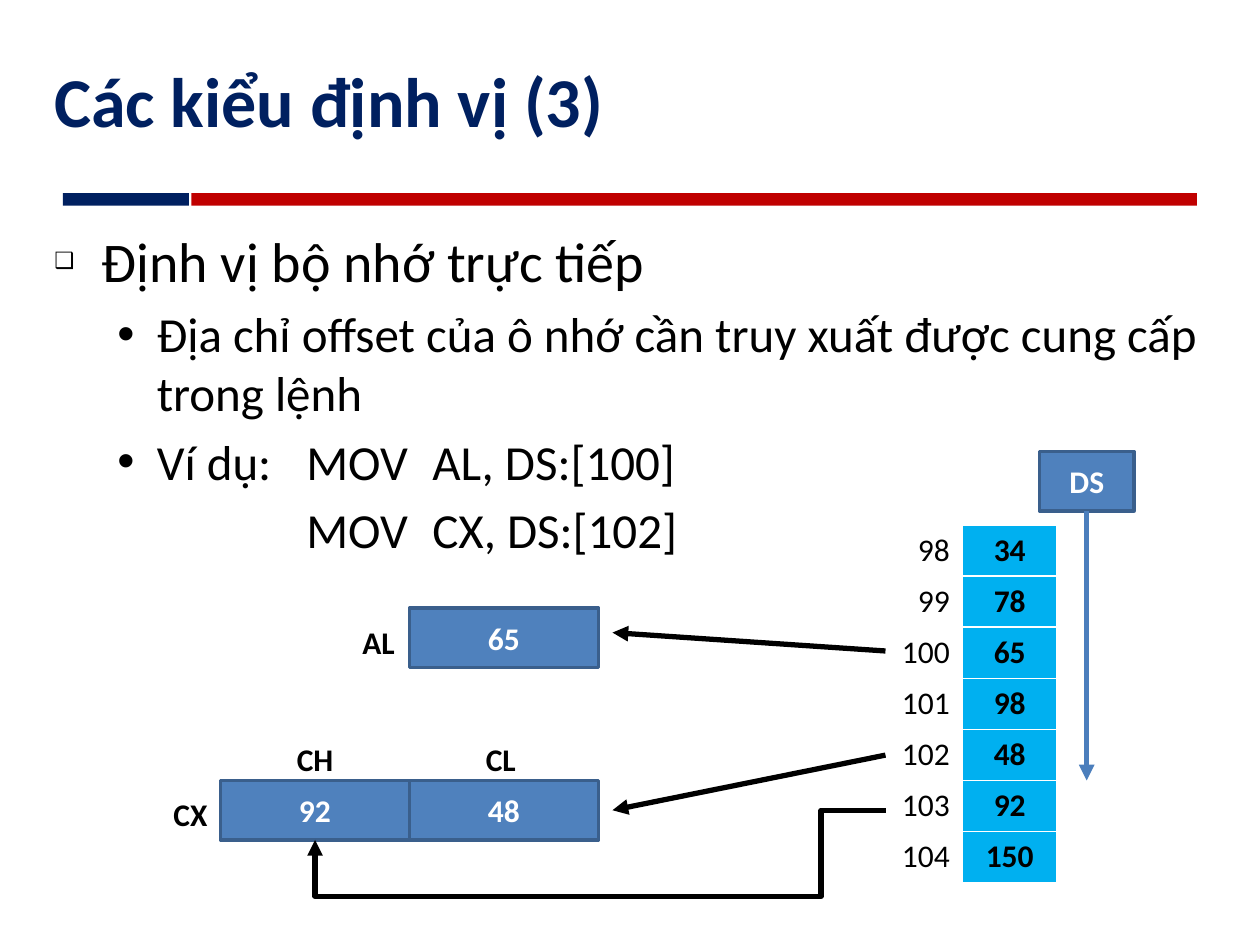
from lxml import etree
from pptx import Presentation
from pptx.dml.color import RGBColor
from pptx.enum.shapes import MSO_CONNECTOR, MSO_SHAPE
from pptx.enum.text import MSO_ANCHOR, MSO_AUTO_SIZE, PP_ALIGN
from pptx.oxml.ns import qn
from pptx.util import Pt

RECTANGLE = MSO_SHAPE.RECTANGLE
STRAIGHT, ELBOW = MSO_CONNECTOR.STRAIGHT, MSO_CONNECTOR.ELBOW
MIDDLE, TOP = MSO_ANCHOR.MIDDLE, MSO_ANCHOR.TOP
GROW = MSO_AUTO_SIZE.SHAPE_TO_FIT_TEXT
LEFT, CENTER, RIGHT = PP_ALIGN.LEFT, PP_ALIGN.CENTER, PP_ALIGN.RIGHT

NAVY, RED, BLACK, WHITE = "002060", "C00000", "000000", "FFFFFF"
BLUE, BLUE_EDGE, BLUE_LINE, CYAN = "4F81BD", "3A5F8C", "4B7EBC", "00B0F0"
REGISTER_HEIGHT = 34
MEMORY = [(98, 34), (99, 78), (100, 65), (101, 98), (102, 48), (103, 92), (104, 150)]


def color(value):
    return RGBColor.from_string(value)


def add_child(parent, tag, **attributes):
    return etree.SubElement(parent, qn(tag), attributes)


def write(para, text, size=18, fill=BLACK, bold=False, align=LEFT):
    para.alignment = align
    span = para.add_run()
    span.text = text
    span.font.name = "Calibri"
    span.font.size = Pt(size)
    span.font.bold = bold
    span.font.color.rgb = color(fill)


def add_box(page, left, top, width, height, anchor=TOP, wrap=True):
    box = page.shapes.add_textbox(Pt(left), Pt(top), Pt(width), Pt(height))
    box.text_frame.word_wrap = wrap
    box.text_frame.vertical_anchor = anchor
    return box.text_frame


def add_label(page, text, left, top, width):
    frame = add_box(page, left, top, width, 29, wrap=False)
    frame.auto_size = GROW
    write(frame.paragraphs[0], text, bold=True)


def add_rectangle(page, left, top, width, height, fill, edge=None):
    shape = page.shapes.add_shape(RECTANGLE, Pt(left), Pt(top), Pt(width), Pt(height))
    shape.shadow.inherit = False
    shape.fill.solid()
    shape.fill.fore_color.rgb = color(fill)
    if edge:
        shape.line.color.rgb = color(edge)
        shape.line.width = Pt(2)
    else:
        shape.line.fill.background()
    return shape


def add_register(page, text, left, top, width=108):
    shape = add_rectangle(page, left, top, width, REGISTER_HEIGHT, BLUE, BLUE_EDGE)
    shape.text_frame.vertical_anchor = MIDDLE
    write(shape.text_frame.paragraphs[0], text, fill=WHITE, bold=True, align=CENTER)


def add_arrow(page, start, end, fill=BLACK, kind=STRAIGHT, arrow_end="a:tailEnd"):
    arrow = page.shapes.add_connector(kind, *map(Pt, start + end))
    arrow.line.color.rgb = color(fill)
    arrow.line.width = Pt(3)
    properties = arrow._element.spPr
    add_child(properties.find(qn("a:ln")), arrow_end, type="triangle")
    add_child(properties, "a:effectLst")
    return arrow


def add_bent_arrow(page, start, end, adjustments):
    arrow = add_arrow(page, start, end, kind=ELBOW, arrow_end="a:headEnd")
    arrow._element.spPr.find(qn("a:xfrm")).set("rot", "5400000")
    geometry = arrow._element.spPr.find(qn("a:prstGeom"))
    geometry.set("prst", "bentConnector4")
    guides = geometry.find(qn("a:avLst"))
    for number, value in enumerate(adjustments, 1):
        add_child(guides, "a:gd", name=f"adj{number}", fmla=f"val {value}")


def add_item(frame, text, size, margin, hanging, bullet=None, bullet_size=100, level=0):
    para = frame.paragraphs[0] if not frame.paragraphs[0].runs else frame.add_paragraph()
    write(para, text, size=size)
    para.level = level
    para.space_before = Pt(size * 0.2)
    properties = para._p.get_or_add_pPr()
    properties.set("marL", str(Pt(margin)))
    properties.set("indent", str(Pt(-hanging)))
    if bullet:
        add_child(properties, "a:buSzPct", val=str(bullet_size * 1000))
        add_child(properties, "a:buFont", typeface="Arial")
        add_child(properties, "a:buChar", char=bullet)
    else:
        add_child(properties, "a:buNone")


def add_memory(page, left, top, widths, row_height):
    frame = page.shapes.add_table(len(MEMORY), 2, Pt(left), Pt(top),
                                  Pt(sum(widths)), Pt(row_height * len(MEMORY)))
    table = frame.table
    table.first_row = table.horz_banding = False
    for column, width in zip(table.columns, widths):
        column.width = Pt(width)
    for row, values in enumerate(MEMORY):
        for column, value in enumerate(values):
            cell = table.cell(row, column)
            cell.vertical_anchor = MIDDLE
            is_content = column == 1
            if is_content:
                cell.fill.solid()
                cell.fill.fore_color.rgb = color(CYAN)
            else:
                cell.fill.background()
            write(cell.text_frame.paragraphs[0], str(value), bold=is_content,
                  align=CENTER if is_content else RIGHT)


def main():
    deck = Presentation()
    deck.slide_width, deck.slide_height = Pt(720), Pt(540)
    page = deck.slides.add_slide(deck.slide_layouts[6])

    add_rectangle(page, 36, 110.4, 72, 7.2, NAVY)
    add_rectangle(page, 109.4, 110.4, 574.6, 7.2, RED)
    title = add_box(page, 24, 12, 672, 90, anchor=MIDDLE)
    write(title.paragraphs[0], "Các kiểu định vị (3)", size=40, fill=NAVY, bold=True)

    body = add_box(page, 24, 126, 672, 403)
    add_item(body, "Định vị bộ nhớ trực tiếp", 32, 27, 27, "❑", bullet_size=40)
    add_item(body, "Địa chỉ offset của ô nhớ cần truy xuất được cung cấp trong lệnh",
             28, 58.5, 22.5, "•", level=1)
    add_item(body, "Ví dụ:\tMOV\tAL, DS:[100]", 28, 58.5, 22.5, "•", level=1)
    add_item(body, "\t\t\tMOV\tCX, DS:[102]", 28, 36, 0, level=1)

    add_memory(page, 504, 300, (46, 54), 29.2)

    add_register(page, "65", 234, 347.5)
    add_label(page, "AL", 200, 352.5, 35)
    add_arrow(page, (506, 372), (350, 361.5))

    add_register(page, "48", 234, 446)
    add_register(page, "92", 126, 446)
    for text, left, top, width in (("CX", 92, 450.5, 36), ("CH", 162.5, 419.5, 38),
                                   ("CL", 270.5, 419.5, 34)):
        add_label(page, text, left, top, width)
    add_bent_arrow(page, (351.5, 634.5), (334.5, 308.5), (-189300, 88700))
    add_arrow(page, (506, 431.5), (350, 463))

    add_register(page, "DS", 594, 258, width=54)
    add_arrow(page, (621, 292), (621, 446), fill=BLUE_LINE)

    deck.save("out.pptx")


if __name__ == "__main__":
    main()
